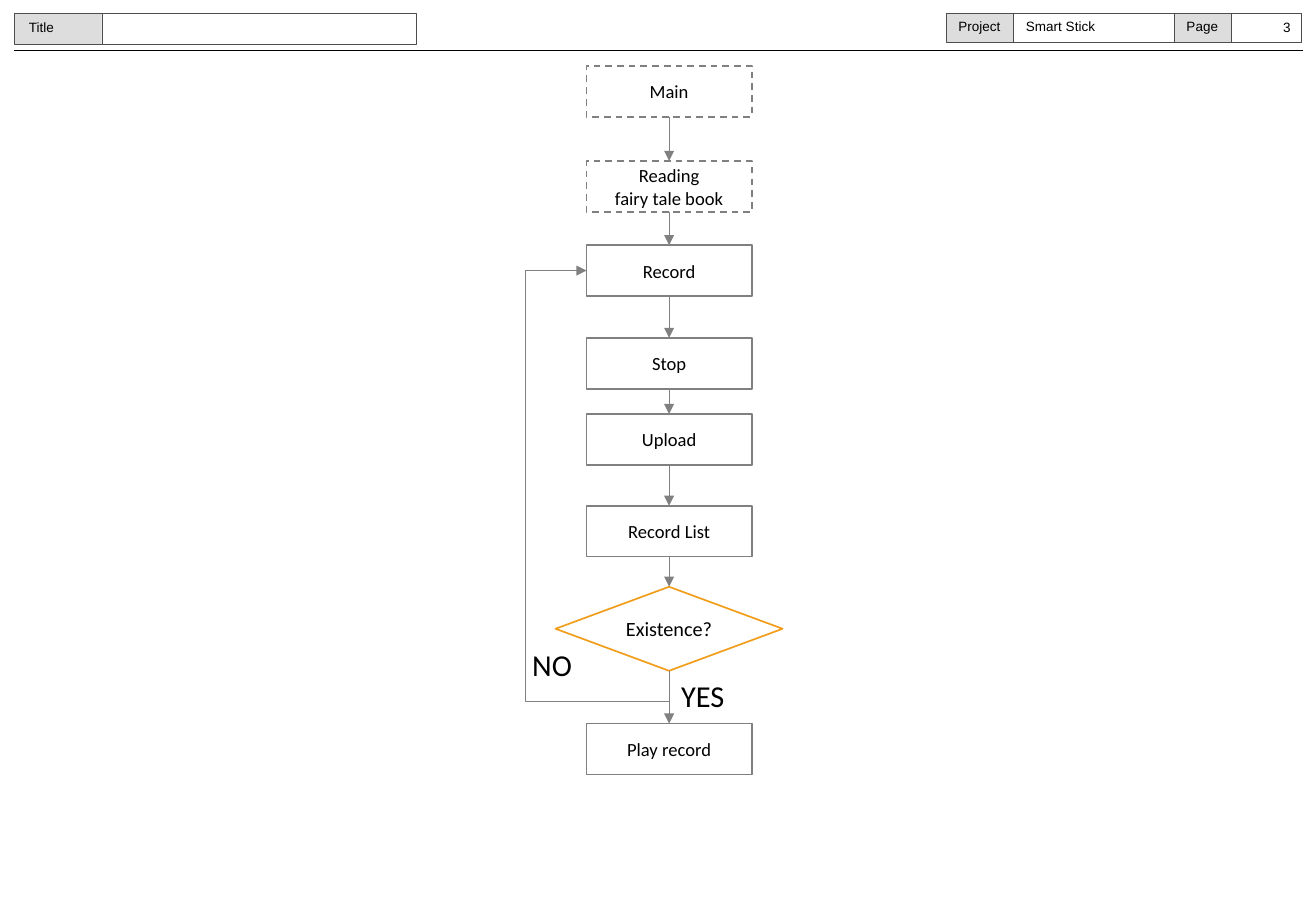
from dataclasses import dataclass
from itertools import pairwise

from lxml.etree import SubElement
from pptx import Presentation
from pptx.dml.color import RGBColor
from pptx.enum.dml import MSO_LINE_DASH_STYLE as Dash
from pptx.enum.shapes import MSO_CONNECTOR as Link, MSO_SHAPE as Preset
from pptx.enum.text import MSO_ANCHOR as Anchor, PP_ALIGN as Align
from pptx.oxml.ns import qn
from pptx.util import Pt

BLACK, WHITE, GRAY, DARK, LABEL, ORANGE = (
    "000000", "FFFFFF", "808080", "4D4D4D", "DDDDDD", "F19D19")
AXIS = 396.6
TOP_SITE, LEFT_SITE, BOTTOM_SITE = 0, 1, 2
LOOP_LEFT, LOOP_DROP = 311.4, 18


@dataclass
class Box:
    left: float
    top: float
    width: float
    height: float

    def lengths(self) -> tuple:
        return Pt(self.left), Pt(self.top), Pt(self.width), Pt(self.height)


@dataclass
class Node:
    text: str
    top: float
    dashed: bool = False
    decision: bool = False


@dataclass
class Caption:
    text: str
    box: Box
    size: float = 8
    font: str = "Arial"
    align: Align = Align.LEFT


NODES = [
    Node("Main", 39, dashed=True),
    Node("Reading\nfairy tale book", 95.4, dashed=True),
    Node("Record", 145.3),
    Node("Stop", 200.3),
    Node("Upload", 245.4),
    Node("Record List", 299.8),
    Node("Existence?", 347.8, decision=True),
    Node("Play record", 428.9),
]
LABEL_FILLS = [Box(8.4, 7.9, 51.9, 18.2), Box(560.9, 7.9, 40, 17.3), Box(696.2, 7.9, 33.5, 17.3)]
FRAMES = [Box(8.4, 7.9, 238.5, 18.2), Box(560.9, 7.9, 210.4, 17.3)]
DIVIDERS = [Box(60.3, 7.9, 0, 18.2)] + [Box(x, 7.9, 0, 17.3) for x in (600.6, 696.2, 729.7)]
CAPTIONS = [
    Caption("Title", Box(10, 7.5, 78.5, 17)),
    Caption("Project", Box(560.9, 7.2, 51, 17)),
    Caption("Smart Stick", Box(601, 7.2, 66, 17)),
    Caption("Page", Box(696.2, 7.2, 42, 17)),
    Caption("3", Box(726, 7.9, 46, 16.6), align=Align.RIGHT),
    Caption("NO", Box(308.4, 379.6, 42, 29), 18, "Calibri"),
    Caption("YES", Box(396.6, 397.6, 44, 29), 18, "Calibri"),
]


def color(value: str) -> RGBColor:
    return RGBColor.from_string(value)


def set_line(line, value: str, width: float) -> None:
    line.color.rgb = color(value)
    line.width = Pt(width)


def set_text(text_frame, text: str, size: float, font: str, align: Align) -> None:
    text_frame.text = text
    for paragraph in text_frame.paragraphs:
        paragraph.alignment = align
        for run in paragraph.runs:
            run.font.size = Pt(size)
            run.font.name = font
            run.font.color.rgb = color(BLACK)


def add_box(slide, box: Box, preset=Preset.RECTANGLE, fill: str = "", line: str = "", width: float = 0.25):
    shape = slide.shapes.add_shape(preset, *box.lengths())
    shape.shadow.inherit = False
    if fill:
        shape.fill.solid()
        shape.fill.fore_color.rgb = color(fill)
    else:
        shape.fill.background()
    if line:
        set_line(shape.line, line, width)
    else:
        shape.line.fill.background()
    return shape


def add_node(slide, node: Node):
    width, height = (134.6, 49.8) if node.decision else (98, 30.2)
    shape = add_box(
        slide, Box(AXIS - width / 2, node.top, width, height),
        Preset.DIAMOND if node.decision else Preset.RECTANGLE,
        WHITE, ORANGE if node.decision else GRAY, 1)
    if node.dashed:
        shape.line.dash_style = Dash.DASH
    text_frame = shape.text_frame
    text_frame.margin_left = text_frame.margin_right = 0
    text_frame.vertical_anchor = Anchor.MIDDLE
    set_text(text_frame, node.text, 12 if node.decision else 11, "Calibri", Align.CENTER)
    return shape


def add_caption(slide, caption: Caption) -> None:
    text_frame = slide.shapes.add_textbox(*caption.box.lengths()).text_frame
    text_frame.word_wrap = True
    set_text(text_frame, caption.text, caption.size, caption.font, caption.align)


def add_rule(slide, box: Box, value: str, width: float, kind=Link.STRAIGHT):
    left, top, across, down = box.lengths()
    connector = slide.shapes.add_connector(kind, left, top, left + across, top + down)
    set_line(connector.line, value, width)
    SubElement(connector.element.spPr, qn("a:effectLst"))
    return connector


def add_arrow(slide, source, target, site: int = TOP_SITE, kind=Link.STRAIGHT):
    connector = add_rule(slide, Box(0, 0, 0, 0), GRAY, 0.5, kind)
    SubElement(connector.element.spPr.find(qn("a:ln")), qn("a:tailEnd"), type="triangle")
    connector.begin_connect(source, BOTTOM_SITE)
    connector.end_connect(target, site)
    return connector


def add_loop(slide, source, target) -> None:
    connector = add_arrow(slide, source, target, LEFT_SITE, Link.ELBOW)
    start_x, start_y = connector.begin_x, connector.begin_y
    end_x, end_y = connector.end_x, connector.end_y
    rise, run = start_y - end_y, start_x - end_x
    properties = connector.element.spPr
    frame = properties.xfrm
    frame.flipH, frame.flipV = True, False
    frame.set("rot", "5400000")
    connector.left = (start_x + end_x - rise) // 2
    connector.top = (start_y + end_y - run) // 2
    connector.width, connector.height = rise, run
    geometry = properties.find(qn("a:prstGeom"))
    geometry.set("prst", "bentConnector4")
    guides = geometry.find(qn("a:avLst"))
    ratios = -Pt(LOOP_DROP) / rise, (start_x - Pt(LOOP_LEFT)) / run
    for number, ratio in enumerate(ratios, 1):
        SubElement(guides, qn("a:gd"), name=f"adj{number}", fmla=f"val {round(ratio * 100000)}")


presentation = Presentation()
presentation.slide_width, presentation.slide_height = Pt(780), Pt(540)
slide = presentation.slides.add_slide(presentation.slide_layouts[6])

for label_box in LABEL_FILLS:
    add_box(slide, label_box, fill=LABEL)
for frame_box in FRAMES:
    add_box(slide, frame_box, line=DARK)
for divider in DIVIDERS:
    add_rule(slide, divider, DARK, 0.25)
add_rule(slide, Box(8.4, 30.2, 764, 0), BLACK, 0.5)

steps = {node.text: add_node(slide, node) for node in NODES}
for source, target in pairwise(steps.values()):
    add_arrow(slide, source, target)
add_loop(slide, steps["Existence?"], steps["Record"])

for caption in CAPTIONS:
    add_caption(slide, caption)

presentation.save("out.pptx")
